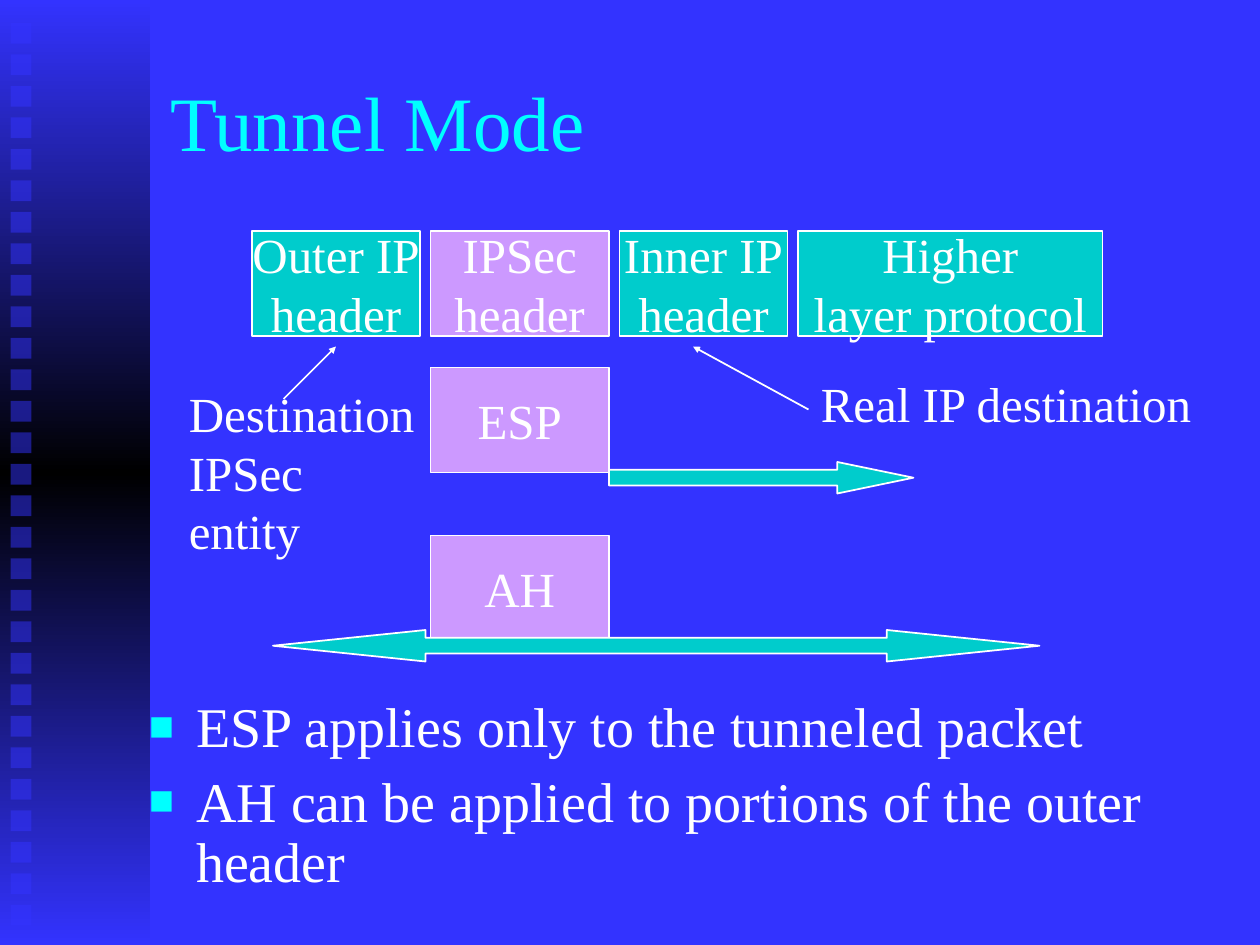
"""Build the Tunnel Mode slide: IPSec packet layout with ESP and AH coverage."""
import copy

import lxml.etree
import pptx
import pptx.dml.color
import pptx.enum.shapes
import pptx.enum.text
import pptx.oxml.ns
import pptx.util

Pt = pptx.util.Pt
qn = pptx.oxml.ns.qn
SHAPE = pptx.enum.shapes.MSO_SHAPE
ALIGN = pptx.enum.text.PP_ALIGN
ANCHOR = pptx.enum.text.MSO_ANCHOR
FIT = pptx.enum.text.MSO_AUTO_SIZE
COLORS = {
    name: pptx.dml.color.RGBColor.from_string(value)
    for name, value in {
        "blue": "3333FF", "black": "000000", "cyan": "00FFFF",
        "teal": "00CCCC", "violet": "CC99FF", "white": "FFFFFF",
    }.items()
}


def add_text(tf, lines, size=28, color="white", align=ALIGN.LEFT):
    for i, line in enumerate(lines):
        p = tf.add_paragraph() if i else tf.paragraphs[0]
        p.alignment = align
        r = p.add_run()
        r.text = line
        r.font.size = Pt(size)
        r.font.name = "Times New Roman"
        r.font.color.rgb = COLORS[color]


def add_block(kind, left, top, width, height, color):
    sp = s.shapes.add_shape(kind, Pt(left), Pt(top), Pt(width), Pt(height))
    sp.shadow.inherit = False
    sp.fill.solid()
    sp.fill.fore_color.rgb = COLORS[color]
    sp.line.color.rgb = COLORS["white"]
    sp.line.width = Pt(1)
    return sp


prs = pptx.Presentation()
prs.slide_width, prs.slide_height = Pt(720), Pt(540)
s = prs.slides.add_slide(prs.slide_layouts[5])
s.background.fill.solid()
s.background.fill.fore_color.rgb = COLORS["blue"]

sidebar = add_block(SHAPE.RECTANGLE, 0, 0, 86, 540, "blue")
sidebar.line.fill.background()
sidebar.fill.gradient()
sidebar.fill.gradient_angle = 90
stop_list = sidebar.fill._fill._gradFill.find(qn("a:gsLst"))
stop_list.append(copy.deepcopy(stop_list[0]))
for stop, position, color in zip(
    sidebar.fill.gradient_stops, (0, 0.5, 1), ("blue", "black", "blue")
):
    stop.position = position
    stop.color.rgb = COLORS[color]

for i in range(29):
    sp = add_block(SHAPE.RECTANGLE, 6, 13 + 18 * i, 12, 12, "blue")
    sp.line.fill.background()
    rgb = sp.fill._xPr.find(qn("a:solidFill"))[0]
    lxml.etree.SubElement(rgb, qn("a:alpha"), val="50000")

title = s.shapes.title
title.left, title.top, title.width, title.height = Pt(90), Pt(24), Pt(612), Pt(90)
title.text_frame.vertical_anchor = ANCHOR.MIDDLE
title.text_frame.auto_size = FIT.NONE
add_text(title.text_frame, ["Tunnel Mode"], 44, "cyan")

body = s.shapes.add_textbox(Pt(78), Pt(396), Pt(612), Pt(126))
tf = body.text_frame
tf.word_wrap = True
add_text(tf, [
    "ESP applies only to the tunneled packet",
    "AH can be applied to portions of the outer header",
], 32)
for i, p in enumerate(tf.paragraphs):
    pPr = p._p.get_or_add_pPr()
    pPr.set("marL", str(Pt(27)))
    pPr.set("indent", str(Pt(-27)))
    bullet_color = lxml.etree.SubElement(pPr, qn("a:buClr"))
    lxml.etree.SubElement(bullet_color, qn("a:srgbClr"), val=str(COLORS["cyan"]))
    lxml.etree.SubElement(pPr, qn("a:buSzPct"), val="75000")
    lxml.etree.SubElement(pPr, qn("a:buFont"), typeface="Times New Roman")
    lxml.etree.SubElement(pPr, qn("a:buChar"), char="■")
    p.line_spacing = 0.9
    p.space_before = Pt(8 if i else 0)

blocks = [(246, 210, 102, "violet", ["ESP"]), (246, 306, 102, "violet", ["AH"])]
left = 144
for width, color, lines in [
    (96, "teal", ["Outer IP", "header"]),
    (102, "violet", ["IPSec", "header"]),
    (96, "teal", ["Inner IP", "header"]),
    (174, "teal", ["Higher", "layer protocol"]),
]:
    blocks.append((left, 132, width, color, lines))
    left += width + 6

for left, top, width, color, lines in blocks:
    sp = add_block(SHAPE.RECTANGLE, left, top, width, 60, color)
    sp.text_frame.word_wrap = False
    sp.text_frame.vertical_anchor = ANCHOR.MIDDLE
    add_text(sp.text_frame, lines, align=ALIGN.CENTER)

for kind, left, top, width, head in [
    (SHAPE.RIGHT_ARROW, 348, 264, 174, 2.417),
    (SHAPE.LEFT_RIGHT_ARROW, 156, 360, 438, 4.844),
]:
    sp = add_block(kind, left, top, width, 18, "teal")
    sp.adjustments[0] = 0.5
    sp.adjustments[1] = head

for x1, y1, x2, y2 in [(162, 228, 192, 198), (462, 234, 396, 198)]:
    cxn = s.shapes.add_connector(
        pptx.enum.shapes.MSO_CONNECTOR.STRAIGHT, Pt(x1), Pt(y1), Pt(x2), Pt(y2)
    )
    cxn.line.color.rgb = COLORS["white"]
    cxn.line.width = Pt(1)
    lxml.etree.SubElement(
        cxn.line._get_or_add_ln(), qn("a:tailEnd"), type="triangle", w="sm", len="sm"
    )
    lxml.etree.SubElement(cxn._element.spPr, qn("a:effectLst"))

for left, top, width, height, lines in [
    (462, 210, 227, 41, ["Real IP destination"]),
    (100.8, 215.5, 146, 108, ["Destination", "IPSec", "entity"]),
]:
    label = s.shapes.add_textbox(Pt(left), Pt(top), Pt(width), Pt(height))
    label.text_frame.word_wrap = False
    label.text_frame.auto_size = FIT.SHAPE_TO_FIT_TEXT
    add_text(label.text_frame, lines)

prs.save("out.pptx")
